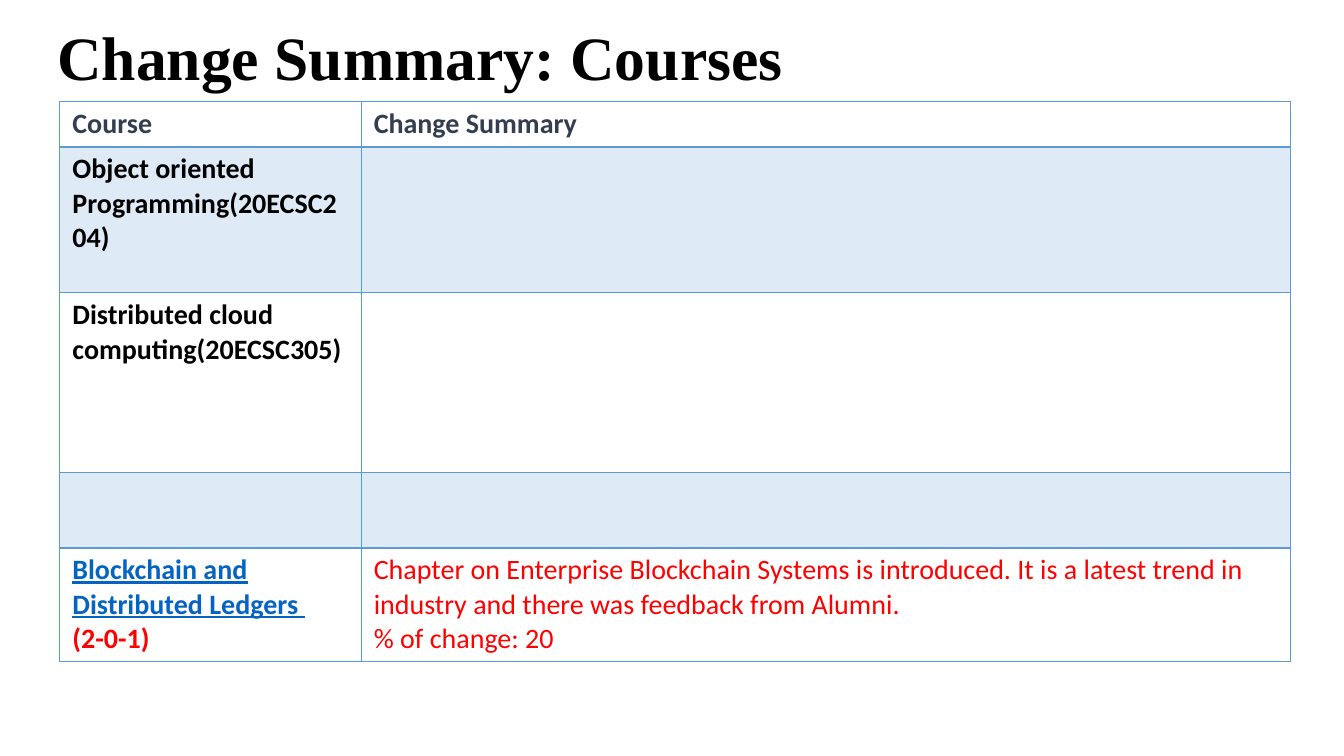
from dataclasses import dataclass

from lxml import etree
from pptx import Presentation
from pptx import util as u
from pptx.dml.color import RGBColor
from pptx.enum import text
from pptx.oxml.ns import qn


@dataclass(frozen=True)
class Theme:
    black: str = "000000"
    heading: str = "333F50"
    border: str = "5B9BD5"
    band: str = "DEEBF7"
    link: str = "0563C1"
    change: str = "FF0000"
    title_font: str = "Times New Roman"
    body_font: str = "Calibri"
    title_size: int = 44
    body_size: int = 20


THEME = Theme()
COLUMN_WIDTHS = [287, 885]
ROW_HEIGHTS = [43, 139, 171, 72, 108]
BANDED_ROWS = (1, 3)

# Each cell is a list of paragraphs: wording, colour, bold, underline.
COURSE_ROWS = [
    [[("Course", THEME.heading, True, False)],
     [("Change Summary", THEME.heading, True, False)]],
    [[("Object oriented Programming(20ECSC204)", THEME.black, True, False)], []],
    [[("Distributed cloud computing(20ECSC305)", THEME.black, True, False)], []],
    [[], []],
    [[("Blockchain and Distributed Ledgers ", THEME.link, True, True),
      ("(2-0-1)", THEME.change, True, False)],
     [("Chapter on Enterprise Blockchain Systems is introduced. It is a latest "
       "trend in industry and there was feedback from Alumni.",
       THEME.change, False, False),
      ("% of change: 20", THEME.change, False, False)]],
]


def px(length):
    return u.Emu(length * 9525)


def set_attributes(target, values):
    for name, value in values.items():
        setattr(target, name, value)


def format_font(font, color, **values):
    set_attributes(font, values)
    font.color.rgb = RGBColor.from_string(color)


def add_title(slide, wording, box):
    title = slide.shapes.title
    set_attributes(title, dict(zip(("left", "top", "width", "height"), map(px, box))))
    frame = title.text_frame
    frame.text = wording
    set_attributes(frame, {"word_wrap": True, "auto_size": text.MSO_AUTO_SIZE.NONE,
                           "vertical_anchor": text.MSO_ANCHOR.MIDDLE})
    paragraph = frame.paragraphs[0]
    set_attributes(paragraph, {"alignment": text.PP_ALIGN.LEFT, "line_spacing": 0.9})
    format_font(paragraph.runs[0].font, THEME.black, name=THEME.title_font,
                size=u.Pt(THEME.title_size), bold=True)


def set_borders(cell, widths):
    """Draw the cell's sides; widths maps L, R, T and B, in that order, to points."""
    properties = cell._tc.get_or_add_tcPr()
    for side, width in widths.items():
        line = etree.SubElement(properties, qn(f"a:ln{side}"), w=str(u.Pt(width)))
        fill = etree.SubElement(line, qn("a:solidFill"))
        etree.SubElement(fill, qn("a:srgbClr"), val=THEME.border)


def fill_cell(cell, paragraphs):
    set_attributes(cell, {"margin_left": px(12), "margin_right": px(12),
                          "margin_top": px(5), "margin_bottom": px(5)})
    frame = cell.text_frame
    for index, (wording, color, bold, underline) in enumerate(paragraphs):
        paragraph = frame.add_paragraph() if index else frame.paragraphs[0]
        run = paragraph.add_run()
        run.text = wording
        format_font(run.font, color, name=THEME.body_font,
                    size=u.Pt(THEME.body_size), bold=bold, underline=underline)


def add_course_table(slide, left, top):
    frame = slide.shapes.add_table(
        len(ROW_HEIGHTS), len(COLUMN_WIDTHS), px(left), px(top),
        px(sum(COLUMN_WIDTHS)), px(sum(ROW_HEIGHTS)))
    table = frame.table
    set_attributes(table, {"first_row": False, "horz_banding": False})
    for column, width in zip(table.columns, COLUMN_WIDTHS):
        column.width = px(width)
    for index, (row, height) in enumerate(zip(table.rows, ROW_HEIGHTS)):
        row.height = px(height)
        for cell, paragraphs in zip(row.cells, COURSE_ROWS[index]):
            fill_cell(cell, paragraphs)
            set_borders(cell, {"L": 1, "R": 1, "T": 2 if index == 1 else 1,
                               "B": 2 if index == 0 else 1})
            if index in BANDED_ROWS:
                cell.fill.solid()
                cell.fill.fore_color.rgb = RGBColor.from_string(THEME.band)
            else:
                cell.fill.background()


def main():
    presentation = Presentation()
    set_attributes(presentation, {"slide_width": px(1280), "slide_height": px(720)})
    slide = presentation.slides.add_slide(presentation.slide_layouts[5])
    add_title(slide, "Change Summary: Courses", (45, 8, 1104, 99))
    add_course_table(slide, 57, 97)
    presentation.save("out.pptx")


if __name__ == "__main__":
    main()
